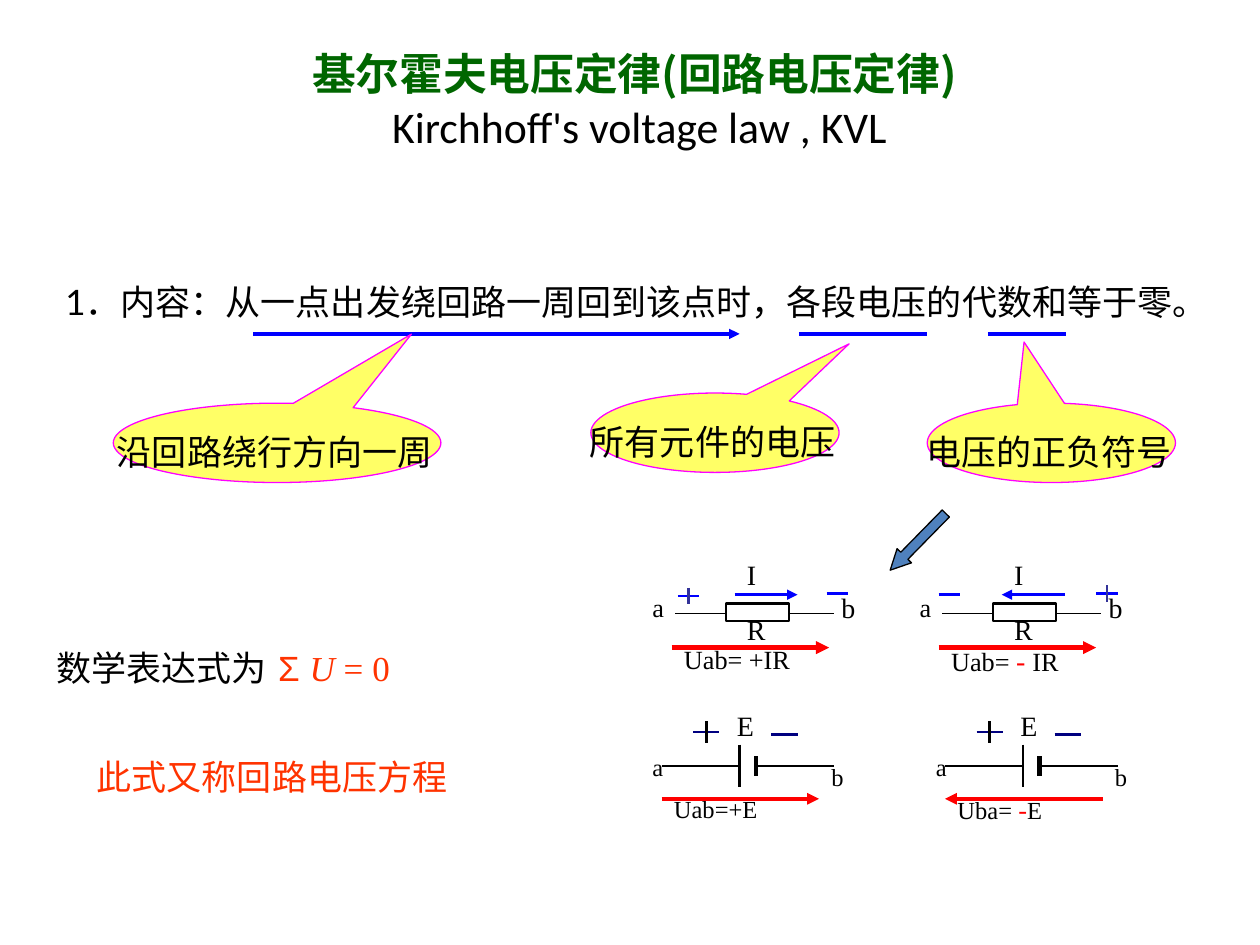
from lxml import etree
from pptx import Presentation, util as u
from pptx.dml.color import RGBColor
from pptx.enum import shapes as kinds, text as t
from pptx.oxml.ns import qn

SERIF, CJK = "Times New Roman", "Noto Sans CJK SC"
BLACK, WHITE, RED, BLUE, NAVY = "000000", "FFFFFF", "FF0000", "0000FF", "000080"
ORANGE, GREEN, INDIGO = "FF3300", "006600", "333399"
LEFT, CENTER = t.PP_ALIGN.LEFT, t.PP_ALIGN.CENTER
TOP, MIDDLE, BOTTOM = t.MSO_ANCHOR.TOP, t.MSO_ANCHOR.MIDDLE, t.MSO_ANCHOR.BOTTOM
RECTANGLE = kinds.MSO_SHAPE.RECTANGLE


def run(words, size, color=BLACK, name=SERIF, **style):
    return words, color, dict(size=u.Pt(size), name=name, **style)


TITLE = [run("基尔霍夫电压定律(回路电压定律) ", 25, GREEN, CJK, bold=True),
         run("Kirchhoff's voltage law , KVL", 25, BLACK, "Calibri", bold=False)]
TEXTS = [  # box, anchor, runs
    ((0.42, 2.17, 9.33, 0.44), MIDDLE,
     [run("1．内容：从一点出发绕回路一周回到该点时，各段电压的代数和等于零。", 20, name="Lato")]),
    ((0.35, 4.84, 3.94, 0.67), BOTTOM,
     [run("数学表达式为", 20, name=CJK), run(" ", 9), run(" ", 20),
      run("Σ ", 20, ORANGE, "Arial"), run("U", 20, ORANGE, italic=True),
      run(" = 0", 20, ORANGE)]),
    ((0.67, 5.95, 3.23, 0.44), TOP, [run("此式又称回路电压方程", 20, ORANGE)]),
]
UNDERLINE_Y = 2.65
UNDERLINES = [(2.01, 5.87, "tailEnd"), (6.34, 7.36, None), (7.84, 8.46, None)]
CALLOUTS = [  # box, pointer, words
    ((0.9, 3.2, 2.6, 0.63), (0.41, -1.37), " 沿回路绕行方向一周"),
    ((4.69, 3.12, 1.97, 0.63), (0.54, -1.12), " 所有元件的电压"),
    ((7.36, 3.2, 1.97, 0.63), (-0.11, -1.27), " 电压的正负符号"),
]
# left edge, law, end of the current's arrow, plus (x, y), minus (x, y)
RESISTORS = [
    (5.08, [run("Uab= +IR", 15)], "tailEnd", (0.3, 4.73), (1.48, 4.71)),
    (7.2, [run("Uab= ", 15), run("- ", 16, RED), run("IR", 15)], "headEnd",
     (1.5, 4.71), (0.25, 4.72)),
]
# left edge, law, end of the voltage's arrow
SOURCES = [
    (5.08, [run("Uab=+E", 14)], "tailEnd"),
    (7.33, [run("Uba= ", 14), run("-", 15, RED), run("E", 14)], "headEnd"),
]


def rgb(color):
    return RGBColor.from_string(color)


def inches(lengths):
    return [u.Inches(length) for length in lengths]


def add_runs(paragraph, runs):
    for words, color, style in runs:
        piece = paragraph.add_run()
        piece.text = words
        for key, value in style.items():
            setattr(piece.font, key, value)
        piece.font.color.rgb = rgb(color)
        east_asian = etree.SubElement(piece.font._element, qn("a:ea"))
        east_asian.set("typeface", CJK)


def write(shape, runs, anchor=TOP, align=LEFT, wrap=True):
    frame = shape.text_frame
    frame.word_wrap = wrap
    frame.vertical_anchor = anchor
    frame.paragraphs[0].alignment = align
    add_runs(frame.paragraphs[0], runs)


def add_shape(shapes, kind, box, fill, line, width=0.75):
    shape = shapes.add_shape(kind, *inches(box))
    shape.shadow.inherit = False
    if fill:
        shape.fill.solid()
        shape.fill.fore_color.rgb = rgb(fill)
    else:
        shape.fill.background()
    shape.line.color.rgb = rgb(line)
    shape.line.width = u.Pt(width)
    return shape


def add_line(shapes, start, end, color, width, arrow=None):
    """Draw a straight line; arrow is headEnd (at start) or tailEnd (at end)."""
    line = shapes.add_connector(kinds.MSO_CONNECTOR.STRAIGHT, *inches(start + end))
    line.line.color.rgb = rgb(color)
    line.line.width = u.Pt(width)
    if arrow:
        etree.SubElement(line.line._get_or_add_ln(), qn("a:" + arrow)).set("type", "triangle")
    etree.SubElement(line._element.spPr, qn("a:effectLst"))


def add_label(shapes, box, runs):
    write(add_shape(shapes, RECTANGLE, box, None, WHITE), runs)


def add_sign(shapes, x, y, width, color, upright=None, height=0.13):
    """Draw a minus, or a plus when upright gives the colour of its second stroke."""
    add_line(shapes, (x, y), (x + width, y), color, 1.5)
    if upright:
        middle = x + width / 2
        add_line(shapes, (middle, y - height / 2), (middle, y + height / 2), upright, 1.5)


def add_resistor(shapes, left, law, current, plus, minus):
    add_label(shapes, (left + 0.25, 5.06, 1.25, 0.34), law)
    for x, y, width, height, name, size in [
            (1.5, 4.64, 0.37, 0.42, "b", 16), (0, 4.64, 0.38, 0.42, "a", 15),
            (0.75, 4.38, 0.46, 0.34, "I", 16), (0.75, 4.81, 0.46, 0.34, "R", 16)]:
        add_label(shapes, (left + x, y, width, height), [run(name, size)])
    add_line(shapes, (left + 0.28, 4.87), (left + 1.54, 4.87), BLACK, 0.75)
    add_shape(shapes, RECTANGLE, (left + 0.68, 4.79, 0.5, 0.14), WHITE, BLACK, 1.25)
    add_line(shapes, (left + 0.75, 4.72), (left + 1.25, 4.72), BLUE, 1.75, current)
    add_line(shapes, (left + 0.25, 5.14), (left + 1.5, 5.14), RED, 2.5, "tailEnd")
    add_sign(shapes, left + plus[0], plus[1], 0.17, BLUE, INDIGO)
    add_sign(shapes, left + minus[0], minus[1], 0.17, BLUE)


def add_source(shapes, left, law, voltage):
    for x, y, width, name, size in [
            (1.42, 6, 0.5, "b", 14), (0, 5.92, 0.62, "a", 14), (0.67, 5.57, 0.38, "E", 16)]:
        add_label(shapes, (left + x, y, width, 0.42), [run(name, size)])
    for x1, y1, x2, y2, width in [
            (0.17, 6.08, 0.79, 6.08, 0.75), (0.79, 5.91, 0.79, 6.25, 1.25),
            (0.92, 6, 0.92, 6.16, 2.5), (0.92, 6.08, 1.54, 6.08, 0.75)]:
        add_line(shapes, (left + x1, y1), (left + x2, y2), BLACK, width)
    add_sign(shapes, left + 0.42, 5.81, 0.21, NAVY, BLACK, 0.17)
    add_sign(shapes, left + 1.04, 5.83, 0.21, NAVY)
    add_label(shapes, (left + 0.17, 6.25, 1.12, 0.42), law)
    add_line(shapes, (left + 0.17, 6.34), (left + 1.42, 6.34), RED, 2.25, voltage)


def main():
    presentation = Presentation()
    presentation.slide_width, presentation.slide_height = inches((10, 7.5))
    slide = presentation.slides.add_slide(presentation.slide_layouts[5])
    shapes = slide.shapes

    title = shapes.title
    title.left, title.top, title.width, title.height = inches((0.31, 0.31, 9.53, 0.96))
    write(title, TITLE[:1], MIDDLE, CENTER)
    paragraph = title.text_frame.paragraphs[0]
    paragraph.add_line_break()
    add_runs(paragraph, TITLE[1:])

    for start, end, arrow in UNDERLINES:
        add_line(shapes, (start, UNDERLINE_Y), (end, UNDERLINE_Y), BLUE, 2, arrow)
    for box, anchor, runs in TEXTS:
        write(shapes.add_textbox(*inches(box)), runs, anchor)
    for box, pointer, words in CALLOUTS:
        callout = add_shape(shapes, kinds.MSO_SHAPE.OVAL_CALLOUT, box, "FFFF66", "FF00FF")
        callout.adjustments[0], callout.adjustments[1] = pointer
        write(callout, [run(words, 20), run(" ", 32)], MIDDLE, CENTER, wrap=False)

    for resistor in RESISTORS:
        add_resistor(shapes.add_group_shape().shapes, *resistor)
    for source in SOURCES:
        add_source(shapes.add_group_shape().shapes, *source)

    arrow = add_shape(shapes, kinds.MSO_SHAPE.RIGHT_ARROW, (6.97, 4.22, 0.63, 0.16),
                      "4F81BD", BLACK)
    arrow.adjustments[1] = 1
    arrow.rotation = 134.4
    presentation.save("out.pptx")


if __name__ == "__main__":
    main()
